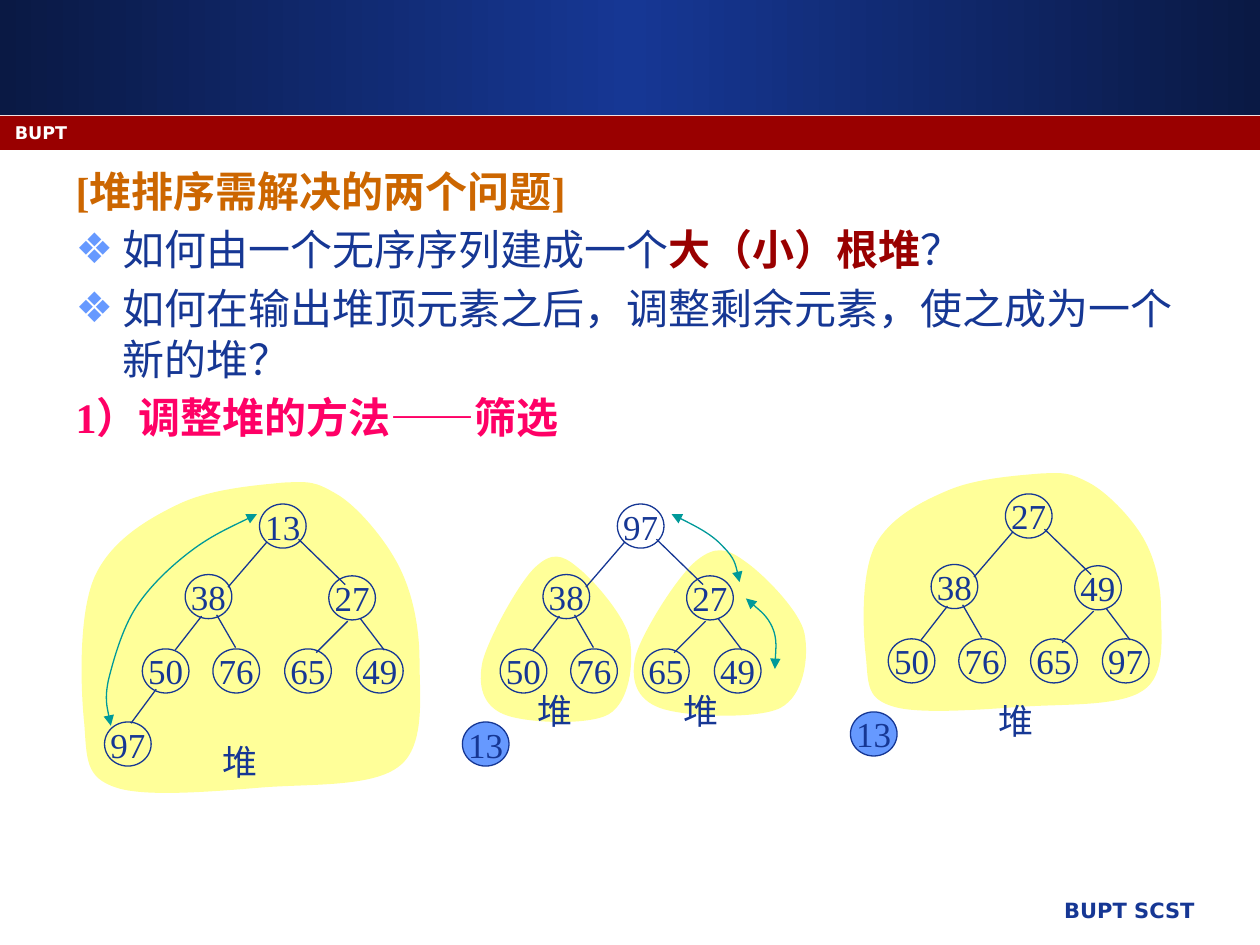
import copy

import lxml.etree
import pptx
import pptx.dml.color
import pptx.enum.shapes
import pptx.enum.text
import pptx.oxml.ns
import pptx.util

RGB = pptx.dml.color.RGBColor
SHAPE = pptx.enum.shapes.MSO_SHAPE
ALIGN = pptx.enum.text.PP_ALIGN
qn = pptx.oxml.ns.qn

NAVY = RGB(0x16, 0x37, 0x94)
DARK_NAVY = RGB(0x0A, 0x19, 0x44)
RED = RGB(0x99, 0x00, 0x00)
WHITE = RGB(0xFF, 0xFF, 0xFF)
ORANGE = RGB(0xCC, 0x66, 0x00)
PINK = RGB(0xFF, 0x00, 0x66)
SKY = RGB(0x66, 0x99, 0xFF)
YELLOW = RGB(0xFF, 0xFF, 0x99)
TEAL = RGB(0x00, 0x99, 0x99)
SERIF, SANS = "Times New Roman", "DejaVu Sans"

PX = 9144  # 100 px to the inch
HAIRLINE = pptx.util.Pt(0.75)

# Heap outlines: a start point, then control, control, end for each curve
LARGE_SIZE = (275, 251)
LARGE_HEAP = [(163, 1), (142, 3), (105, 6), (80, 18), (55, 30), (26, 47), (13, 76),
              (0, 106), (2, 165), (5, 193), (7, 221), (6, 235), (30, 243),
              (53, 251), (109, 246), (146, 243), (184, 240), (234, 243), (255, 226),
              (276, 210), (271, 169), (271, 143), (271, 117), (266, 90), (255, 68),
              (244, 46), (221, 19), (205, 10), (188, 0), (184, 0), (163, 1)]
SMALL_SIZE = (124, 139)
SMALL_HEAP = [(79, 12), (67, 2), (59, 0), (46, 12), (33, 24), (9, 68), (4, 87),
              (0, 106), (4, 122), (21, 129), (38, 136), (88, 138), (104, 129),
              (121, 119), (124, 88), (121, 70), (118, 52), (92, 22), (79, 12)]

# Double arrows, relative to their top left corner
LONG_ARC = [(121, 0), (103, 9), (85, 17), (69, 29), (53, 41), (36, 57), (25, 74),
            (14, 91), (7, 116), (3, 132), (0, 147), (3, 158), (5, 168)]
ROOT_ARC = [(0, 0), (16, 8), (32, 16), (41, 26), (50, 35), (52, 44), (54, 54)]
LEAF_ARC = [(0, 0), (8, 7), (17, 14), (21, 23), (25, 32), (23, 51), (23, 56)]

# Tree parts, relative to the top left corner of the tree
NODES = [(123, 0), (64, 56), (178, 57)] + [(30 + 170 * i // 3, 115) for i in range(4)]
EXTRA_NODE = (0, 173)
EDGES = [(129, 30, 98, 66), (154, 28, 191, 64), (77, 89, 56, 116),
         (89, 88, 104, 114), (193, 93, 168, 118), (203, 91, 222, 116)]
EXTRA_EDGE = (41, 147, 21, 174)


def px(*lengths):
    return [round(length * PX) for length in lengths]


def add_run(paragraph, text, size, color, font=SERIF, bold=False):
    run = paragraph.add_run()
    run.text = text
    run.font.size = pptx.util.Pt(size)
    run.font.name = font
    run.font.bold = bold
    run.font.color.rgb = color


def label(shapes, box, text, size, color, font=SERIF, bold=False, align=ALIGN.LEFT):
    frame = shapes.add_textbox(*px(*box)).text_frame
    frame.word_wrap = True
    frame.paragraphs[0].alignment = align
    add_run(frame.paragraphs[0], text, size, color, font, bold)


def curve(shapes, left, top, points, scale=(1, 1), closed=False):
    """Builds a freeform and turns each three of its points into a cubic curve."""
    places = [px(left + x * scale[0], top + y * scale[1]) for x, y in points]
    builder = shapes.build_freeform(*places[0], scale=1.0)
    builder.add_line_segments(places[1:], close=closed)
    shape = builder.convert_to_shape()
    shape.shadow.inherit = False
    steps = list(shape._element.iter(qn("a:lnTo")))
    for i in range(0, len(steps), 3):
        cubic = lxml.etree.Element(qn("a:cubicBezTo"))
        steps[i].addprevious(cubic)
        for step in steps[i:i + 3]:
            cubic.append(step[0])
            step.getparent().remove(step)
    return shape


def heap_area(shapes, box, outline, size):
    left, top, width, height = box
    area = curve(shapes, left, top, outline, (width / size[0], height / size[1]), True)
    area.fill.solid()
    area.fill.fore_color.rgb = YELLOW
    area.line.fill.background()


def swap_arrow(shapes, left, top, points):
    arrow = curve(shapes, left, top, points)
    arrow.fill.background()
    arrow.line.color.rgb = TEAL
    arrow.line.width = HAIRLINE
    outline = arrow._element.spPr.find(qn("a:ln"))
    for end in ("a:headEnd", "a:tailEnd"):
        lxml.etree.SubElement(outline, qn(end), type="triangle")


def node(shapes, left, top, value, fill=None):
    circle = shapes.add_shape(SHAPE.OVAL, *px(left, top, 37, 35))
    circle.shadow.inherit = False
    if fill is None:
        circle.fill.background()
    else:
        circle.fill.solid()
        circle.fill.fore_color.rgb = fill
    circle.line.color.rgb = NAVY
    circle.line.width = HAIRLINE
    frame = circle.text_frame
    frame.word_wrap = False
    frame.vertical_anchor = pptx.enum.text.MSO_ANCHOR.MIDDLE
    frame.paragraphs[0].alignment = ALIGN.CENTER
    add_run(frame.paragraphs[0], str(value), 20, NAVY)


def tree(shapes, left, top, values, extra, removed):
    """Seven nodes, and one extra that is either a leaf or already removed."""
    for (x, y), value in zip(NODES, values):
        node(shapes, left + x, top + y, value)
    x, y = EXTRA_NODE
    node(shapes, left + x, top + y, extra, SKY if removed else None)
    for x1, y1, x2, y2 in EDGES if removed else EDGES + [EXTRA_EDGE]:
        edge = shapes.add_connector(pptx.enum.shapes.MSO_CONNECTOR.STRAIGHT,
                                    *px(left + x1, top + y1, left + x2, top + y2))
        edge.line.color.rgb = NAVY
        edge.line.width = HAIRLINE
        lxml.etree.SubElement(edge._element.spPr, qn("a:effectLst"))


def banner(shapes, left, top, width):
    blue = shapes.add_shape(SHAPE.RECTANGLE, *px(left, top, width, 91))
    red = shapes.add_shape(SHAPE.RECTANGLE, *px(left, top + 92, width, 27))
    for bar in (blue, red):
        bar.shadow.inherit = False
        bar.line.fill.background()
    red.fill.solid()
    red.fill.fore_color.rgb = RED
    blue.fill.gradient()
    blue.fill.gradient_angle = 0
    stops = blue._element.spPr.find(qn("a:gradFill")).find(qn("a:gsLst"))
    stops.insert(1, copy.deepcopy(stops[0]))
    for stop, place, color in zip(blue.fill.gradient_stops, (0, 0.5, 1),
                                  (DARK_NAVY, NAVY, DARK_NAVY)):
        stop.position = place
        stop.color.rgb = color
    label(shapes, (left + 2, top + 92, 925, 25), "BUPT", 10, WHITE, SANS, True)


def questions(body, box):
    body.left, body.top, body.width, body.height = px(*box)
    frame = body.text_frame
    frame.auto_size = pptx.enum.text.MSO_AUTO_SIZE.NONE
    frame.vertical_anchor = pptx.enum.text.MSO_ANCHOR.TOP
    lines = [
        (False, [("[堆排序需解决的两个问题]", ORANGE, True)]),
        (True, [("如何由一个无序序列建成一个", NAVY, False),
                ("大（小）根堆", RED, True), ("？", NAVY, False)]),
        (True, [("如何在输出堆顶元素之后，调整剩余元素，使之成为一个新的堆？", NAVY, False)]),
        (False, [("1）调整堆的方法——筛选", PINK, True)]),
    ]
    for i, (bulleted, runs) in enumerate(lines):
        paragraph = frame.add_paragraph() if i else frame.paragraphs[0]
        properties = paragraph._p.get_or_add_pPr()
        properties.set("marL", str(pptx.util.Pt(27)))
        properties.set("indent", str(-pptx.util.Pt(27)))
        if bulleted:
            color = lxml.etree.SubElement(properties, qn("a:buClr"))
            lxml.etree.SubElement(color, qn("a:srgbClr"), val=str(SKY))
            lxml.etree.SubElement(properties, qn("a:buChar"), char="❖")
        else:
            lxml.etree.SubElement(properties, qn("a:buNone"))
        paragraph.space_before = pptx.util.Pt(4.8 if i else 0)
        for text, color, bold in runs:
            add_run(paragraph, text, 24, color, bold=bold)


def main():
    deck = pptx.Presentation()
    deck.slide_width, deck.slide_height = px(1000, 750)
    slide = deck.slides.add_slide(deck.slide_layouts[1])
    shapes = slide.shapes
    title = shapes.title._element
    title.getparent().remove(title)

    # Header, footer and text
    banner(shapes, 0, 0, 1000)
    label(shapes, (421, 707, 537, 35), "BUPT SCST", 12, NAVY, SANS, True, ALIGN.RIGHT)
    questions(slide.placeholders[1], (50, 126, 900, 574))

    # Heap areas
    heap_area(shapes, (683, 375, 242, 192), LARGE_HEAP, LARGE_SIZE)
    heap_area(shapes, (500, 433, 142, 139), SMALL_HEAP, SMALL_SIZE)
    heap_area(shapes, (379, 438, 124, 139), SMALL_HEAP, SMALL_SIZE)
    heap_area(shapes, (62, 382, 275, 251), LARGE_HEAP, LARGE_SIZE)

    # Trees: first heap, root replaced, heap restored
    first_heap = shapes.add_group_shape().shapes
    tree(first_heap, 83, 400, (13, 38, 27, 50, 76, 65, 49), 97, removed=False)
    tree(shapes, 367, 400, (97, 38, 27, 50, 76, 65, 49), 13, removed=True)
    tree(shapes, 675, 392, (27, 38, 49, 50, 76, 65, 97), 13, removed=True)

    # Swaps and heap labels
    swap_arrow(shapes, 83, 408, LONG_ARC)
    swap_arrow(shapes, 533, 408, ROOT_ARC)
    swap_arrow(shapes, 592, 475, LEAF_ARC)
    for left, top in ((167, 583), (783, 550), (417, 542), (533, 542)):
        label(shapes, (left, top, 58, 43), "堆", 20, NAVY)

    deck.save("out.pptx")


if __name__ == "__main__":
    main()
